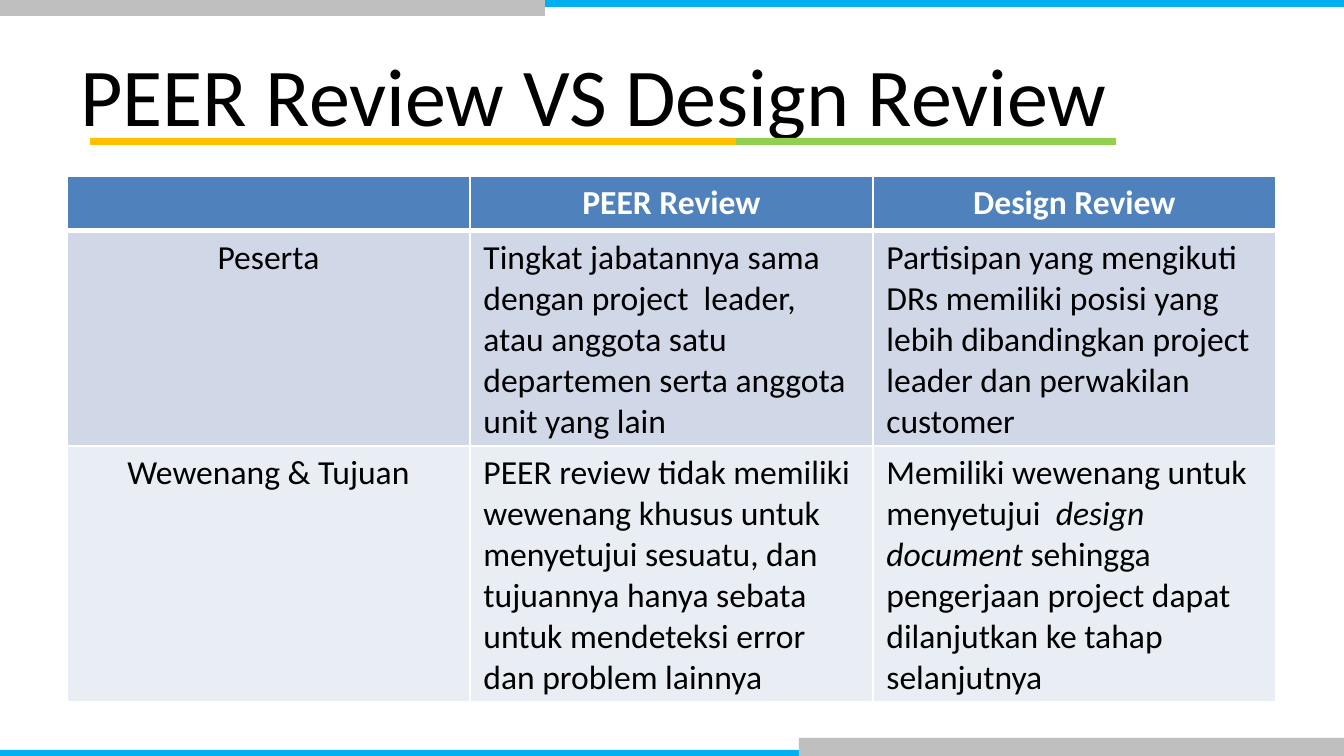
from lxml.etree import SubElement
from pptx import Presentation
from pptx.dml.color import RGBColor as Rgb
from pptx.enum.shapes import MSO_SHAPE as Kind
from pptx.enum.text import MSO_ANCHOR as Anchor, PP_ALIGN as Align
from pptx.oxml.ns import qn
from pptx.util import Pt

SCALE = 9144000 / 1344
FONT = "Calibri"
INK = {
    "text": "000000", "white": "FFFFFF", "head": "4F81BD",
    "odd": "D0D8E8", "even": "E9EDF4", "blue": "00B0F0",
    "gray": "BFBFBF", "gold": "FFC000", "green": "92D050",
}
ROWS = [
    ["", "PEER Review", "Design Review"],
    ["Peserta",
     "Tingkat jabatannya sama dengan project  leader, atau anggota satu "
     "departemen serta anggota unit yang lain",
     "Partisipan yang mengikuti DRs memiliki posisi yang lebih "
     "dibandingkan project leader dan perwakilan customer"],
    ["Wewenang & Tujuan",
     "PEER review tidak memiliki wewenang khusus untuk  menyetujui sesuatu, "
     "dan tujuannya hanya sebata untuk mendeteksi error dan problem lainnya",
     "Memiliki wewenang untuk menyetujui  *design document* sehingga "
     "pengerjaan project dapat dilanjutkan ke tahap selanjutnya"],
]
EDGES = [
    ("blue", 0, 750, 799, 7),
    ("blue", 545, 0, 799, 7),
    ("gray", 799, 738, 545, 19),
    ("gray", 0, -3, 545, 19),
]
RULE = [
    ("gold", 90, 138, 646, 7),
    ("green", 736, 138, 380, 7),
]


def px(*nums):
    return [round(n * SCALE) for n in nums]


def tint(name):
    return Rgb.from_string(INK[name])


def style(para, size, color, bold=False, align=Align.LEFT):
    para.alignment = align
    font = para.font
    font.name, font.size, font.bold = FONT, Pt(size), bold
    font.color.rgb = tint(color)


def add_title(slide, text, *box):
    frame = slide.shapes.add_textbox(*px(*box)).text_frame
    frame.word_wrap = True
    frame.vertical_anchor = Anchor.MIDDLE
    para = frame.paragraphs[0]
    para.text = text
    style(para, 44, "text")


def add_bar(shapes, color, *box):
    bar = shapes.add_shape(Kind.RECTANGLE, *px(*box))
    bar.shadow.inherit = False
    bar.fill.solid()
    bar.fill.fore_color.rgb = tint(color)
    bar.line.fill.background()


def add_lines(cell, top, base):
    props = cell._tc.get_or_add_tcPr()
    sides = [("lnL", 1), ("lnR", 1), ("lnT", top), ("lnB", base)]
    for spot, (tag, width) in enumerate(sides):
        line = SubElement(props, qn(f"a:{tag}"), w=str(Pt(width)))
        fill = SubElement(line, qn("a:solidFill"))
        SubElement(fill, qn("a:srgbClr"), val=INK["white"])
        props.insert(spot, line)


def fill_cell(cell, text, row, col):
    head = row == 0
    cell.fill.solid()
    cell.fill.fore_color.rgb = tint(("head", "odd", "even")[row])
    add_lines(cell, 3 if row == 1 else 1, 3 if head else 1)
    para = cell.text_frame.paragraphs[0]
    align = Align.CENTER if head or col == 0 else Align.LEFT
    style(para, 18, "white" if head else "text", head, align)
    for turn, part in enumerate(text.split("*")):
        if part:
            run = para.add_run()
            run.text = part
            if turn % 2:
                run.font.italic = True


def add_grid(slide, left, top, wide, high):
    count = len(ROWS[0])
    box = px(left, top, wide * count, high * len(ROWS))
    grid = slide.shapes.add_table(len(ROWS), count, *box).table
    for row, texts in enumerate(ROWS):
        for col, text in enumerate(texts):
            fill_cell(grid.cell(row, col), text, row, col)


def main():
    deck = Presentation()
    deck.slide_width, deck.slide_height = px(1344, 756)
    slide = deck.slides.add_slide(deck.slide_layouts[6])
    add_title(slide, "PEER Review VS Design Review", 67, 31, 1210, 126)
    add_grid(slide, 67, 176, 403, 55)
    for bar in EDGES:
        add_bar(slide.shapes, *bar)
    group = slide.shapes.add_group_shape()
    for bar in RULE:
        add_bar(group.shapes, *bar)
    deck.save("out.pptx")


if __name__ == "__main__":
    main()
